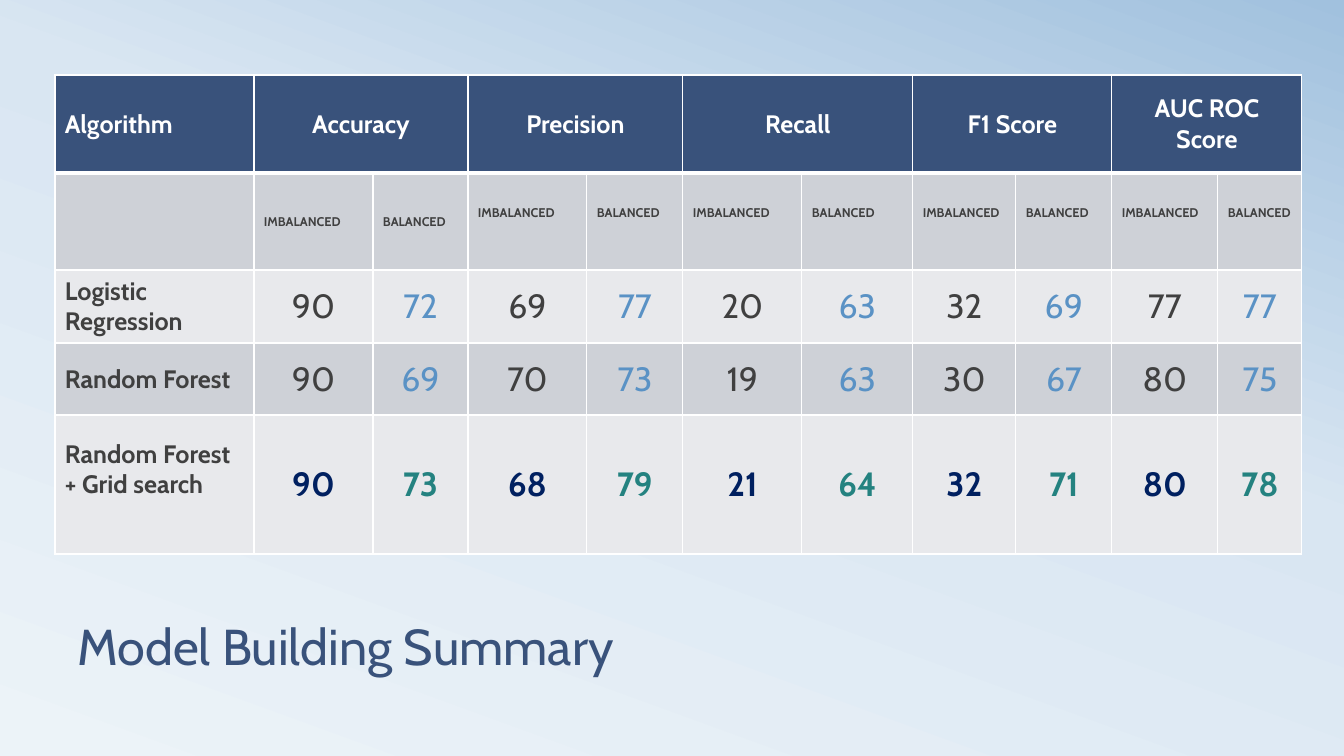
import copy
import dataclasses

import lxml.etree
import pptx
import pptx.dml.color
import pptx.enum.text
import pptx.oxml.ns
import pptx.util


@dataclasses.dataclass(frozen=True)
class Theme:
    font: str = "Cabin"
    navy: str = "39527B"
    white: str = "FFFFFF"
    text: str = "404040"
    blue: str = "5A92C5"
    best_imbalanced: str = "002060"
    best_balanced: str = "248280"
    bands: tuple = ("CED1D7", "E8E9EC")
    background: tuple = ((0, "ECF3F8"), (0.58, "D9E6F2"), (1, "A1C1DE"))
    title_size: int = 36
    score_size: int = 24
    label_size: int = 18
    caption_size: int = 9
    thin_line: int = 1
    thick_line: int = 3


THEME = Theme()
EMU_PER_PX = 914400 / 100.8
CENTER = pptx.enum.text.PP_ALIGN.CENTER
LEFT = pptx.enum.text.PP_ALIGN.LEFT
MARGIN = 10

COLUMN_WIDTHS = (199, 119, 95, 119, 96, 119, 111, 103, 96, 106, 84)
ROW_HEIGHTS = (98, 97, 73, 72, 139)
METRICS = ("Accuracy", "Precision", "Recall", "F1 Score", "AUC ROC Score")
CLASS_BALANCES = ("IMBALANCED", "BALANCED")
SCORES = {
    "Logistic Regression": (90, 72, 69, 77, 20, 63, 32, 69, 77, 77),
    "Random Forest": (90, 69, 70, 73, 19, 63, 30, 67, 80, 75),
    "Random Forest + Grid search": (90, 73, 68, 79, 21, 64, 32, 71, 80, 78),
}


def px(length):
    return pptx.util.Emu(round(length * EMU_PER_PX))


def rgb(colour):
    return pptx.dml.color.RGBColor.from_string(colour)


def style_paragraph(paragraph, size, colour, bold=False, alignment=LEFT):
    paragraph.alignment = alignment
    font = paragraph.font
    font.name = THEME.font
    font.size = pptx.util.Pt(size)
    font.bold = bold
    font.color.rgb = rgb(colour)


def write_cell(cell, text, size, colour, bold=True, alignment=LEFT, raised=0):
    cell.text = text
    cell.margin_bottom = px(5 + 2 * raised)
    style_paragraph(cell.text_frame.paragraphs[0], size, colour, bold, alignment)


def draw_borders(cell, top, bottom):
    properties = cell._tc.get_or_add_tcPr()
    qualified = pptx.oxml.ns.qn
    widths = {"lnL": THEME.thin_line, "lnR": THEME.thin_line, "lnT": top, "lnB": bottom}
    for position, (side, width) in enumerate(widths.items()):
        line = lxml.etree.Element(qualified(f"a:{side}"), w=str(pptx.util.Pt(width)))
        fill = lxml.etree.SubElement(line, qualified("a:solidFill"))
        lxml.etree.SubElement(fill, qualified("a:srgbClr"), val=THEME.white)
        properties.insert(position, line)


def format_grid(table):
    for column, width in zip(table.columns, COLUMN_WIDTHS):
        column.width = px(width)
    for row_index, height in enumerate(ROW_HEIGHTS):
        row = table.rows[row_index]
        row.height = px(height)
        top = THEME.thick_line if row_index == 1 else THEME.thin_line
        bottom = THEME.thick_line if row_index == 0 else THEME.thin_line
        fill_colour = THEME.bands[(row_index - 1) % 2] if row_index else THEME.navy
        for cell in row.cells:
            cell.fill.solid()
            cell.fill.fore_color.rgb = rgb(fill_colour)
            cell.vertical_anchor = pptx.enum.text.MSO_ANCHOR.MIDDLE
            cell.margin_left = cell.margin_right = px(MARGIN)
            draw_borders(cell, top, bottom)


def fill_headers(table):
    write_cell(table.cell(0, 0), "Algorithm", THEME.label_size, THEME.white)
    for metric_index, metric in enumerate(METRICS):
        first_column = 1 + 2 * metric_index
        header = table.cell(0, first_column)
        header.merge(table.cell(0, first_column + 1))
        header.margin_left = header.margin_right = px(2 * MARGIN)
        write_cell(header, metric, THEME.label_size, THEME.white, alignment=CENTER)
        for offset, balance in enumerate(CLASS_BALANCES):
            write_cell(table.cell(1, first_column + offset), balance,
                       THEME.caption_size, THEME.text, raised=8 if metric_index else 0)


def fill_scores(table):
    for row_index, (algorithm, scores) in enumerate(SCORES.items(), start=2):
        best = row_index == len(ROW_HEIGHTS) - 1
        colours = ((THEME.best_imbalanced, THEME.best_balanced) if best
                   else (THEME.text, THEME.blue))
        write_cell(table.cell(row_index, 0), algorithm, THEME.label_size, THEME.text,
                   raised=15 if best else 0)
        for score_index, score in enumerate(scores):
            write_cell(table.cell(row_index, score_index + 1), str(score), THEME.score_size,
                       colours[score_index % 2], bold=best, alignment=CENTER)


def add_score_table(slide, left, top):
    shape = slide.shapes.add_table(
        len(ROW_HEIGHTS), len(COLUMN_WIDTHS), px(left), px(top),
        px(sum(COLUMN_WIDTHS)), px(sum(ROW_HEIGHTS)))
    format_grid(shape.table)
    fill_headers(shape.table)
    fill_scores(shape.table)


def place_title(slide, left, top, width, height):
    title = slide.shapes.title
    title.left, title.top, title.width, title.height = map(px, (left, top, width, height))
    title.text_frame.text = "Model Building Summary"
    title.text_frame.vertical_anchor = pptx.enum.text.MSO_ANCHOR.BOTTOM
    paragraph = title.text_frame.paragraphs[0]
    paragraph.line_spacing = 0.8
    style_paragraph(paragraph, THEME.title_size, THEME.navy)


def paint_background(slide):
    fill = slide.background.fill
    fill.gradient()
    fill.gradient_angle = 70
    stop_list = next(slide._element.iter(pptx.oxml.ns.qn("a:gsLst")))
    stop_list.append(copy.deepcopy(stop_list[0]))
    for stop, (position, colour) in zip(fill.gradient_stops, THEME.background):
        stop.position = position
        stop.color.rgb = rgb(colour)


def build_summary_slide(presentation):
    slide = presentation.slides.add_slide(presentation.slide_layouts.get_by_name("Title Only"))
    paint_background(slide)
    place_title(slide, 67, 562, 1210, 118)
    add_score_table(slide, 55, 75)


def main():
    presentation = pptx.Presentation()
    presentation.slide_width = px(1344)
    presentation.slide_height = px(756)
    build_summary_slide(presentation)
    presentation.save("out.pptx")


if __name__ == "__main__":
    main()
